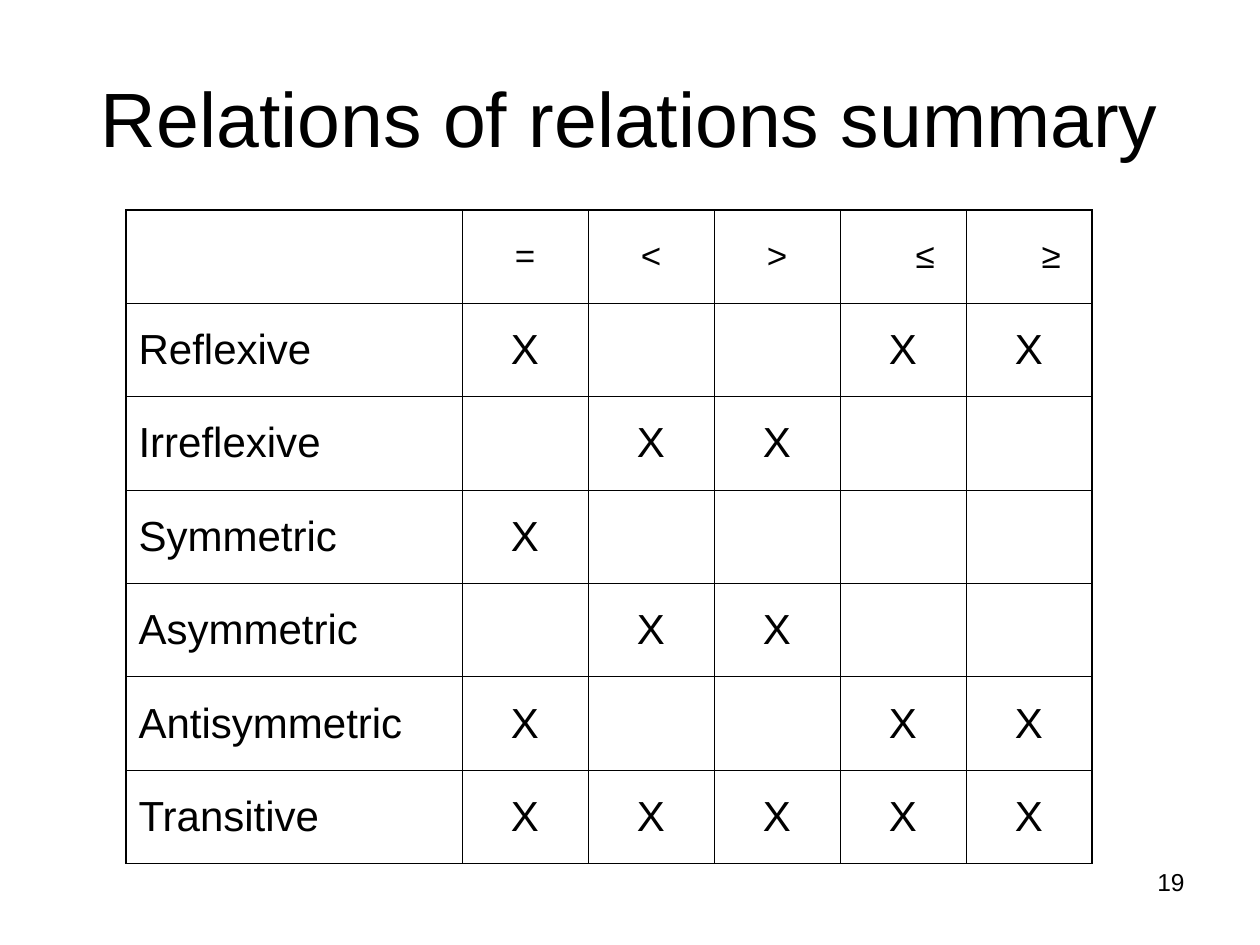
from dataclasses import dataclass

from lxml import etree
from pptx import Presentation
from pptx.dml.color import RGBColor
from pptx.enum.text import MSO_ANCHOR, PP_ALIGN
from pptx.oxml.ns import qn
from pptx.util import Pt

LEFT, CENTER = PP_ALIGN.LEFT, PP_ALIGN.CENTER
RIGHT, JUSTIFY = PP_ALIGN.RIGHT, PP_ALIGN.JUSTIFY
MIDDLE = MSO_ANCHOR.MIDDLE
TITLE_ONLY = 5


@dataclass(frozen=True)
class Theme:
    font: str = "Arial"
    ink: str = "000000"
    title: float = 44
    heading: float = 20
    body: float = 24
    number: float = 14
    thin: float = 0.45
    thick: float = 1.08


THEME = Theme()

TITLE_BOX = (36, 21.6, 648, 90)
TABLE_BOX = (72, 120, 552, 373.5)
NUMBER_BOX = (516, 492, 168, 37.5)
LABEL_WIDTH = 192
SYMBOL_INDENT = 36

SYMBOLS = ["=", "<", ">", "≤", "≥"]
INDENTED = {"≤", "≥"}
PROPERTIES = {
    "Reflexive": "=≤≥",
    "Irreflexive": "<>",
    "Symmetric": "=",
    "Asymmetric": "<>",
    "Antisymmetric": "=≤≥",
    "Transitive": "=<>≤≥",
}


def apply_format(target, values):
    for name, value in values.items():
        setattr(target, name, value)


def write(frame, text, size, **paragraph_format):
    para = frame.paragraphs[0]
    apply_format(para, paragraph_format)
    span = para.add_run()
    span.text = text
    apply_format(span.font, {"name": THEME.font, "size": Pt(size), "bold": False})
    span.font.color.rgb = RGBColor.from_string(THEME.ink)
    return para


def add_title(page, box, text):
    title = page.shapes.title
    apply_format(title, dict(zip(("left", "top", "width", "height"), map(Pt, box))))
    apply_format(title.text_frame, {"vertical_anchor": MIDDLE, "word_wrap": True})
    write(title.text_frame, text, THEME.title, alignment=CENTER)


def add_page_number(page, box, text):
    frame = page.shapes.add_textbox(*map(Pt, box)).text_frame
    frame.word_wrap = True
    write(frame, text, THEME.number, alignment=RIGHT)


def draw_borders(cell, thick_sides):
    properties = cell._tc.get_or_add_tcPr()
    for side in "LRTB":
        width = THEME.thick if side in thick_sides else THEME.thin
        line = etree.SubElement(properties, qn(f"a:ln{side}"), w=str(int(Pt(width))))
        fill = etree.SubElement(line, qn("a:solidFill"))
        etree.SubElement(fill, qn("a:srgbClr"), val=THEME.ink)


def fill_cell(cell, text, is_heading, is_label):
    if not text:
        return
    size, space = (THEME.heading, 5) if is_heading else (THEME.body, 6)
    alignment = JUSTIFY if is_label else LEFT if text in INDENTED else CENTER
    para = write(cell.text_frame, text, size, alignment=alignment, space_before=Pt(space))
    if text in INDENTED:
        para.level = 1
        apply_format(para._p.get_or_add_pPr(), {"marL": Pt(SYMBOL_INDENT)})
        para._p.get_or_add_pPr().set("marL", str(int(Pt(SYMBOL_INDENT))))


def add_relation_table(page, box):
    rows = [["", *SYMBOLS]]
    for label, holds in PROPERTIES.items():
        rows.append([label, *("X" if symbol in holds else "" for symbol in SYMBOLS)])
    last_row, last_column = len(rows) - 1, len(SYMBOLS)
    table = page.shapes.add_table(len(rows), last_column + 1, *map(Pt, box)).table
    apply_format(table, {"first_row": False, "horz_banding": False})

    symbol_width = (box[2] - LABEL_WIDTH) / len(SYMBOLS)
    for index, column in enumerate(table.columns):
        column.width = Pt(symbol_width if index else LABEL_WIDTH)
    for row in table.rows:
        row.height = Pt(box[3] / len(rows))

    for r, texts in enumerate(rows):
        for c, text in enumerate(texts):
            cell = table.cell(r, c)
            edges = {"L": c == 0, "R": c == last_column, "T": r == 0, "B": r == last_row}
            draw_borders(cell, [side for side, outer in edges.items() if outer])
            cell.fill.background()
            cell.vertical_anchor = MIDDLE
            fill_cell(cell, text, is_heading=r == 0, is_label=c == 0)


def main():
    deck = Presentation()
    apply_format(deck, {"slide_width": Pt(720), "slide_height": Pt(540)})
    page = deck.slides.add_slide(deck.slide_layouts[TITLE_ONLY])
    add_page_number(page, NUMBER_BOX, "19")
    add_title(page, TITLE_BOX, "Relations of relations summary")
    add_relation_table(page, TABLE_BOX)
    deck.save("out.pptx")


if __name__ == "__main__":
    main()
